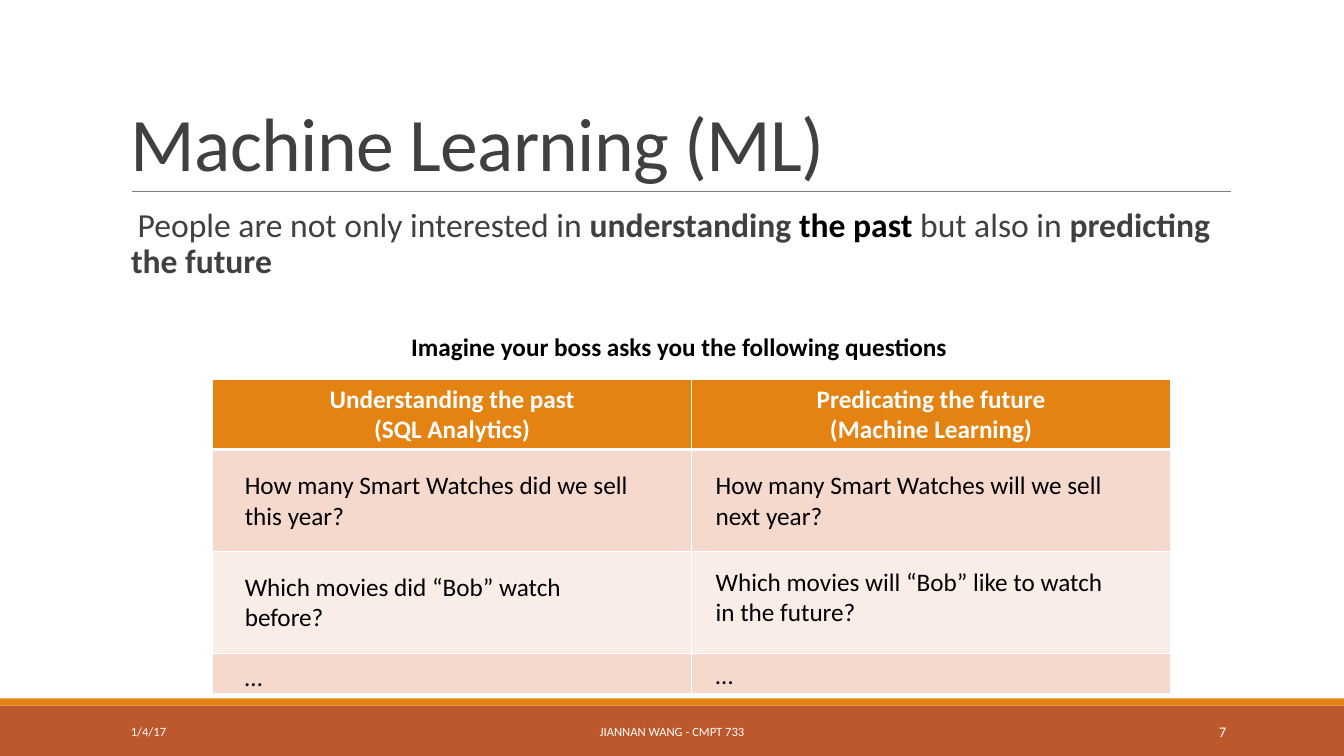
from dataclasses import dataclass

from lxml.etree import SubElement
from pptx import Presentation
from pptx.dml.color import RGBColor
from pptx.enum.shapes import MSO_CONNECTOR, MSO_SHAPE
from pptx.enum.text import MSO_ANCHOR, PP_ALIGN
from pptx.oxml.ns import qn
from pptx.util import Inches, Pt


@dataclass(frozen=True)
class Theme:
    font: str = "Calibri"
    white: str = "FFFFFF"
    black: str = "000000"
    gray: str = "404040"
    rule: str = "808080"
    orange: str = "E48312"
    rust: str = "BD582C"
    rose: str = "F5D9CC"
    blush: str = "FAEDE7"
    title: float = 54
    body: float = 24
    text: float = 18
    page: float = 10.5
    foot: float = 9


THEME = Theme()

LEAD = [
    ("People are not only interested in ", THEME.gray, False),
    ("understanding ", THEME.gray, True),
    ("the past ", THEME.black, True),
    ("but also in ", THEME.gray, False),
    ("predicting the future", THEME.gray, True),
]
HEADS = ["Understanding the past\n(SQL Analytics)",
         "Predicating the future\n(Machine Learning)"]
HEIGHTS = [0.7, 1.01, 1.01, 0.4]
FILLS = [THEME.orange, THEME.rose, THEME.blush, THEME.rose]

# Each column: left edge, then (top, question) pairs
ASKS = [
    (2.33, [(4.61, "How many Smart Watches did we sell\nthis year?"),
            (5.62, "Which movies did “Bob” watch\nbefore?"),
            (6.51, "…")]),
    (7, [(4.61, "How many Smart Watches will we sell\nnext year?"),
         (5.57, "Which movies will “Bob” like to watch\nin the future?"),
         (6.49, "…")]),
]


def style(run, size, color, bold=False):
    font = run.font
    font.name, font.size, font.bold = THEME.font, Pt(size), bold
    font.color.rgb = RGBColor.from_string(color)


def write(frame, text, size, color, bold=False, align=PP_ALIGN.LEFT):
    frame.text = text
    for para in frame.paragraphs:
        para.alignment = align
        for run in para.runs:
            style(run, size, color, bold)


def add_frame(slide, left, top, width, height, anchor=MSO_ANCHOR.TOP, wrap=True):
    box = slide.shapes.add_textbox(
        Inches(left), Inches(top), Inches(width), Inches(height))
    frame = box.text_frame
    frame.word_wrap = wrap
    frame.vertical_anchor = anchor
    return frame


def add_band(slide, top, height, color):
    band = slide.shapes.add_shape(
        MSO_SHAPE.RECTANGLE, 0, Inches(top), Inches(13.33), Inches(height))
    band.shadow.inherit = False
    band.fill.solid()
    band.fill.fore_color.rgb = RGBColor.from_string(color)
    band.line.fill.background()


def add_rule(slide, left, right, top):
    rule = slide.shapes.add_connector(
        MSO_CONNECTOR.STRAIGHT, Inches(left), Inches(top), Inches(right), Inches(top))
    rule.line.color.rgb = RGBColor.from_string(THEME.rule)
    rule.line.width = Pt(0.5)
    SubElement(rule.element.spPr, qn("a:effectLst"))


def add_title(slide, text):
    frame = add_frame(slide, 1.2, 0.31, 11, 1.59, MSO_ANCHOR.BOTTOM)
    write(frame, text, THEME.title, THEME.gray)
    para = frame.paragraphs[0]
    para.line_spacing = 0.85
    para.runs[0].font._element.set("spc", "-50")


def add_lead(slide, parts):
    frame = add_frame(slide, 1.2, 2.02, 11, 4.4)
    frame.margin_left = frame.margin_right = 0
    para = frame.paragraphs[0]
    para.line_spacing = 0.9
    para.space_before, para.space_after = Pt(12), Pt(2)
    for text, color, bold in parts:
        run = para.add_run()
        run.text = text
        style(run, THEME.body, color, bold)
    # Hanging indent with a blank bullet
    props = para._p.get_or_add_pPr()
    props.set("marL", str(Inches(0.1)))
    props.set("indent", str(Inches(-0.1)))
    tint = SubElement(props, qn("a:buClr"))
    SubElement(tint, qn("a:srgbClr"), val=THEME.orange)
    SubElement(props, qn("a:buChar"), char=" ")


def set_cell(cell, fill, base):
    props = cell._tc.get_or_add_tcPr()
    for side, width in (("L", 1), ("R", 1), ("T", 1), ("B", base)):
        edge = SubElement(props, qn(f"a:ln{side}"), w=str(Pt(width)))
        paint = SubElement(edge, qn("a:solidFill"))
        SubElement(paint, qn("a:srgbClr"), val=THEME.white)
    cell.fill.solid()
    cell.fill.fore_color.rgb = RGBColor.from_string(fill)


def add_grid(slide):
    table = slide.shapes.add_table(
        len(HEIGHTS), len(HEADS), Inches(2.11), Inches(3.76),
        Inches(9.5), Inches(sum(HEIGHTS))).table
    for row, height, fill in zip(table.rows, HEIGHTS, FILLS):
        row.height = Inches(height)
        for cell in row.cells:
            set_cell(cell, fill, 3 if fill == THEME.orange else 1)
    for cell, head in zip(table.rows[0].cells, HEADS):
        write(cell.text_frame, head, THEME.text, THEME.white, True, PP_ALIGN.CENTER)


def add_foot(slide, left, width, text, size, align):
    frame = add_frame(slide, left, 7.06, width, 0.4, MSO_ANCHOR.MIDDLE)
    write(frame, text, size, THEME.white, align=align)


def main():
    deck = Presentation()
    deck.slide_width, deck.slide_height = Inches(13.33), Inches(7.5)
    slide = deck.slides.add_slide(deck.slide_layouts[6])

    # Frame of the slide
    add_band(slide, 7, 0.5, THEME.rust)
    add_band(slide, 6.93, 0.07, THEME.orange)
    add_rule(slide, 1.31, 12.21, 1.9)

    # Title and lead
    add_title(slide, "Machine Learning (ML)")
    add_lead(slide, LEAD)

    # Table with its caption and questions
    add_grid(slide)
    frame = add_frame(slide, 3.98, 3.24, 5.55, 0.4, wrap=False)
    write(frame, "Imagine your boss asks you the following questions",
          THEME.text, THEME.black, True)
    for left, asks in ASKS:
        for top, text in asks:
            height = 0.4 + 0.31 * text.count("\n")
            frame = add_frame(slide, left, top, 4.5, height)
            write(frame, text, THEME.text, THEME.black)

    # Footer
    add_foot(slide, 1.2, 2.7, "1/4/17", THEME.foot, PP_ALIGN.LEFT)
    add_foot(slide, 4.03, 5.27, "JIANNAN WANG - CMPT 733", THEME.foot, PP_ALIGN.CENTER)
    add_foot(slide, 10.83, 1.43, "7", THEME.page, PP_ALIGN.RIGHT)

    deck.save("out.pptx")


if __name__ == "__main__":
    main()
